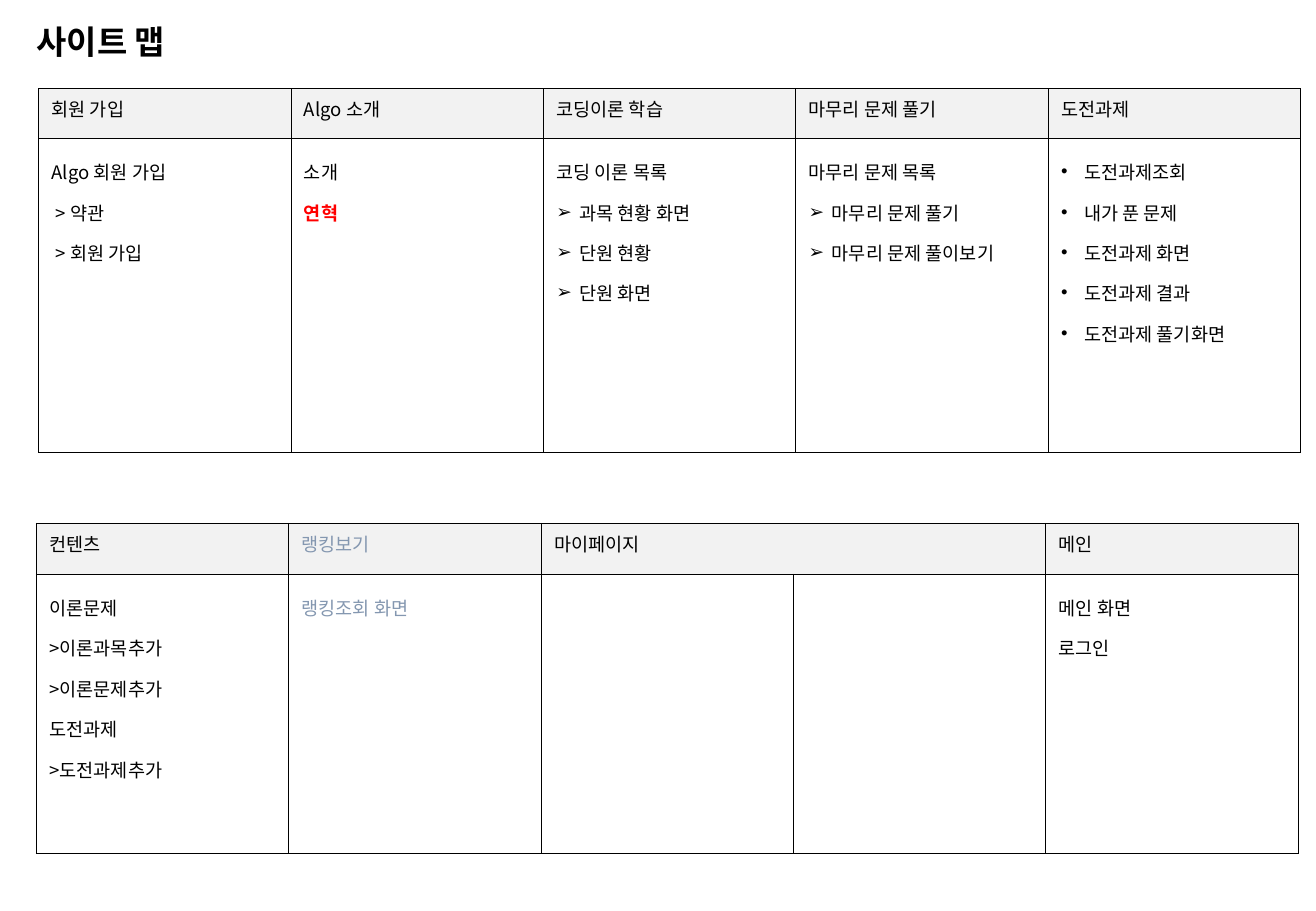
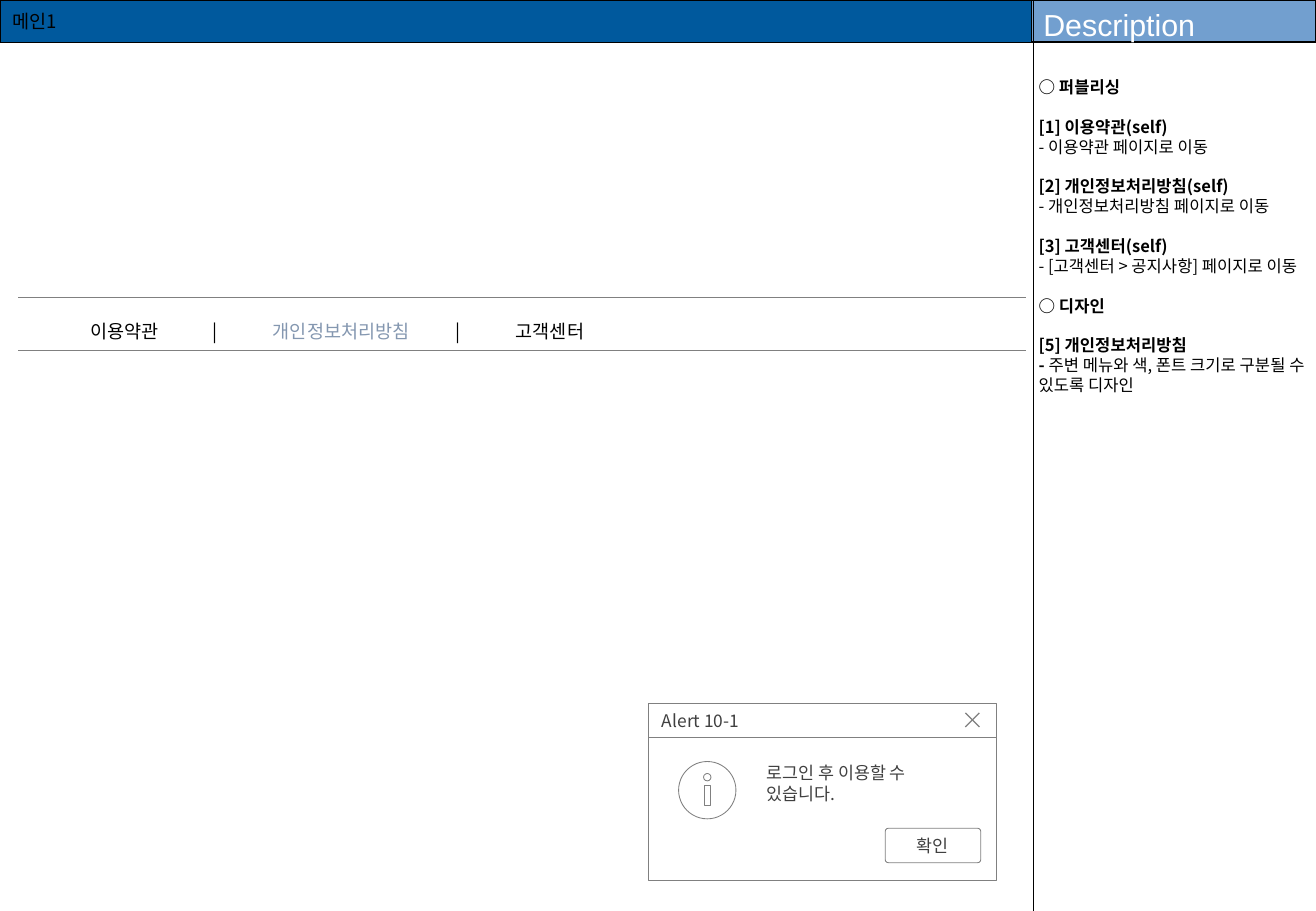
import pptx
import pptx.util
import pptx.dml.color
import pptx.enum.shapes
import pptx.enum.text
import pptx.oxml
import pptx.oxml.ns
from lxml import etree

Pt = pptx.util.Pt
SHAPE = pptx.enum.shapes.MSO_SHAPE
ALIGN = pptx.enum.text.PP_ALIGN
ANCHOR = pptx.enum.text.MSO_ANCHOR

KOREAN, LATIN = "Noto Sans CJK KR", "Arial"
BLACK, WHITE, GRAY, DARK = "000000", "FFFFFF", "808080", "404040"
MUTED, RED, HEADER = "8497B0", "FF0000", "F2F2F2"
BAR, SIDE_BAR = "00599D", "729FCF"
WIDTH, HEIGHT = 780, 540

# Each cell is a list of paragraphs: text, or (text, format)
ARROW, DOT = {"bullet": "➢"}, {"bullet": "•"}
INSET = {"indent": 2.4}
SITE_MAPS = [
    {"place": (23, 52.6), "rows": (29.5, 186), "merged": None,
     "heads": ["회원 가입", "Algo 소개", "코딩이론 학습", "마무리 문제 풀기", "도전과제"],
     "bodies": [
         ["Algo 회원 가입", ("> 약관", INSET), ("> 회원 가입", INSET)],
         ["소개", ("연혁", {"color": RED, "bold": True})],
         ["코딩 이론 목록", ("과목 현황 화면", ARROW), ("단원 현황", ARROW),
          ("단원 화면", ARROW)],
         ["마무리 문제 목록", ("마무리 문제 풀기", ARROW),
          ("마무리 문제 풀이보기", ARROW)],
         [("도전과제조회", DOT), ("내가 푼 문제", DOT), ("도전과제 화면", DOT),
          ("도전과제 결과", DOT), ("도전과제 풀기화면", DOT)]]},
    {"place": (21.6, 310.3), "rows": (30.2, 165.6), "merged": (2, 3),
     "heads": ["컨텐츠", ("랭킹보기", {"color": MUTED}), "마이페이지", None, "메인"],
     "bodies": [
         ["이론문제", ">이론과목추가", ">이론문제추가", "도전과제", ">도전과제추가"],
         [("랭킹조회 화면", {"color": MUTED})],
         [], [],
         ["메인 화면", "로그인"]]},
]
MENU = [("\t이용약관\t|\t", {}), ("개인정보처리방침", {"color": MUTED}),
        ("\t|\t고객센터", {})]
MENU_TABS = [(193.5, "l"), (244, "ctr"), (253.4, "l"), (341.7, "ctr"), (351.8, "l")]
GAP = 11.8
STRONG, NEW = {"bold": True}, {"bold": True, "before": GAP}
DESCRIPTION = [
    ("○ 퍼블리싱", STRONG),
    ("[1] 이용약관(self)", NEW), "- 이용약관 페이지로 이동",
    ("[2] 개인정보처리방침(self)", NEW), "- 개인정보처리방침 페이지로 이동",
    ("[3] 고객센터(self)", NEW), "- [고객센터 > 공지사항] 페이지로 이동",
    ("○ 디자인", NEW),
    ("[5] 개인정보처리방침", NEW),
    ([("- ", STRONG), ("주변 메뉴와 색, 폰트 크기로 구분될 수 있도록 디자인", {})], {}),
]


def rgb(color):
    return pptx.dml.color.RGBColor.from_string(color)


def add_child(parent, tag, **attributes):
    return etree.SubElement(parent, pptx.oxml.ns.qn(tag), **attributes)


def format_span(span, size=11, font=KOREAN, color=BLACK, bold=False):
    span.font.size, span.font.bold, span.font.name = Pt(size), bold, font
    span.font.color.rgb = rgb(color)
    add_child(span.font._element, "a:ea", typeface=KOREAN)


def write_para(para, content, align=ALIGN.LEFT, line=1.0, before=0, bullet=None,
               indent=0, tabs=(), **look):
    """Fill a paragraph with text, or with a list of (text, format) spans."""
    hanging = 13.7 if bullet else 0
    props = para._p.get_or_add_pPr()
    props.set("marL", str(Pt(indent + hanging)))
    props.set("indent", str(-Pt(hanging)))
    if bullet:
        add_child(props, "a:buFont", typeface=LATIN)
        add_child(props, "a:buChar", char=bullet)
    else:
        add_child(props, "a:buNone")
    if tabs:
        stops = add_child(props, "a:tabLst")
        for position, kind in tabs:
            add_child(stops, "a:tab", pos=str(Pt(position)), algn=kind)
    para.alignment, para.space_before, para.line_spacing = align, Pt(before), line
    for text, own in [(content, {})] if isinstance(content, str) else content:
        span = para.add_run()
        span.text = text
        format_span(span, **{**look, **own})


def write_text(frame, paragraphs, **shared):
    for index, item in enumerate(paragraphs):
        content, own = (item, {}) if isinstance(item, str) else item
        para = frame.add_paragraph() if index else frame.paragraphs[0]
        write_para(para, content, **{**shared, **own})


def set_box(box, paragraphs, place=None, anchor=ANCHOR.MIDDLE,
            insets=(7.2, 3.6, 7.2, 3.6), wrap=True, **look):
    """Place a box if asked, set up its text frame and write its text."""
    if place:
        box.left, box.top, box.width, box.height = map(Pt, place)
    frame = box.text_frame
    frame.auto_size = pptx.enum.text.MSO_AUTO_SIZE.NONE
    frame.word_wrap, frame.vertical_anchor = wrap, anchor
    (frame.margin_left, frame.margin_top,
     frame.margin_right, frame.margin_bottom) = map(Pt, insets)
    write_text(frame, paragraphs, **look)


def paint(shape, fill=None, line=BLACK, weight=0.75):
    if fill:
        shape.fill.solid()
        shape.fill.fore_color.rgb = rgb(fill)
    else:
        shape.fill.background()
    shape.line.color.rgb, shape.line.width = rgb(line), Pt(weight)


def add_shape(page, kind, place, **style):
    shape = page.shapes.add_shape(kind, *map(Pt, place))
    shape.shadow.inherit = False
    paint(shape, **style)
    return shape


def set_cell(cell, paragraphs, fill, borders, **look):
    """borders holds (color, weight) for left, right, top and bottom."""
    cell.margin_left = cell.margin_right = Pt(7.6)
    cell.margin_top = cell.margin_bottom = Pt(3.6)
    props = cell._tc.get_or_add_tcPr()
    for side, (color, weight) in zip("LRTB", borders):
        edge = add_child(props, f"a:ln{side}", w=str(Pt(weight)))
        add_child(add_child(edge, "a:solidFill"), "a:srgbClr", val=color)
    if fill:
        cell.fill.solid()
        cell.fill.fore_color.rgb = rgb(fill)
    else:
        cell.fill.background()
    write_text(cell.text_frame, paragraphs, **look)


def add_table(page, place, widths, heights):
    table = page.shapes.add_table(len(heights), len(widths), *map(Pt, place),
                                  Pt(sum(widths)), Pt(sum(heights))).table
    table.first_row = table.horz_banding = False
    for column, width in zip(table.columns, widths):
        column.width = Pt(width)
    for row, height in zip(table.rows, heights):
        row.height = Pt(height)
    return table


def add_site_map(page, place, rows, merged, heads, bodies):
    table = add_table(page, place, [149.6] * len(heads), rows)
    borders = [(BLACK, 0.75)] * 4
    for column, (head, body) in enumerate(zip(heads, bodies)):
        set_cell(table.cell(0, column), [head] if head else [], HEADER, borders)
        set_cell(table.cell(1, column), body, WHITE, borders, line=1.5)
    if merged:
        first, last = merged
        table.cell(0, first).merge(table.cell(0, last))


def add_alert(page):
    left, top, width, bar = 384.5, 416.9, 205.9, 20.2
    thin = {"line": GRAY, "weight": 0.5}
    text = {"size": 10.3, "color": DARK}
    add_shape(page, SHAPE.RECTANGLE, (left, top + bar, width, 85), fill=WHITE, **thin)
    message = page.shapes.add_textbox(0, 0, 0, 0)
    set_box(message, ["로그인 후 이용할 수 있습니다."], (447.8, 448.6, 126.7, 36.7),
            ANCHOR.TOP, (6.5, 2.9, 6.5, 2.9), line=Pt(12.4), **text)
    heading = add_shape(page, SHAPE.RECTANGLE, (left, top, width, bar),
                        fill=WHITE, **thin)
    set_box(heading, ["Alert 10-1"], insets=(7.9, 3.6, 19.4, 3.6), **text)

    x, y, size = 572.2, 422.6, 8.3
    builder = page.shapes.build_freeform(Pt(x + size), Pt(y))
    builder.add_line_segments([(Pt(x), Pt(y + size))], close=False)
    builder.move_to(Pt(x), Pt(y))
    builder.add_line_segments([(Pt(x + size), Pt(y + size))], close=False)
    cross = builder.convert_to_shape()
    cross.shadow.inherit = False
    paint(cross, line=GRAY)

    center = 419.2
    for kind, y, width, height in [(SHAPE.OVAL, 451.4, 34, 34),
                                   (SHAPE.OVAL, 458.5, 4.4, 4.4),
                                   (SHAPE.RECTANGLE, 465.6, 3.8, 11.8)]:
        add_shape(page, kind, (center - width / 2, y, width, height), **thin)

    button = add_shape(page, SHAPE.ROUNDED_RECTANGLE, (524.7, 491, 56.6, 20.4),
                       fill=WHITE, **thin)
    button.adjustments[0] = 0.09
    set_box(button, ["확인"], align=ALIGN.CENTER, **text)


def build_site_map(page):
    set_box(page.shapes.title, ["사이트 맵"], (21.6, 0, 510.5, 49), insets=(0, 0, 0, 0),
            size=19.5, font=LATIN, bold=True)
    for site_map in SITE_MAPS:
        add_site_map(page, **site_map)


def build_main_screen(page):
    split, bar = 611.3, 25
    title = page.shapes.title
    set_box(title, ["메인1"], (0, 0, split, bar), wrap=False)
    paint(title, fill=BAR)
    set_box(page.placeholders[1], DESCRIPTION, (612.7, 45.5, 167, 490), ANCHOR.TOP,
            (2.9, 0, 2.9, 0), size=9.8, line=Pt(GAP))
    side_bar = add_shape(page, SHAPE.RECTANGLE, (split, 0, WIDTH - split, bar),
                         fill=SIDE_BAR)
    set_box(side_bar, ["Description"], anchor=ANCHOR.TOP, size=18, font=LATIN,
            color=WHITE)
    divider = page.shapes.add_connector(pptx.enum.shapes.MSO_CONNECTOR.STRAIGHT,
                                        Pt(612.7), 0, Pt(612.7), Pt(HEIGHT))
    divider.line.color.rgb, divider.line.width = rgb(BLACK), Pt(0.75)
    add_child(divider._element.spPr, "a:effectLst")

    menu = add_table(page, (10.1, 176.4), [598.3], [27.4])
    set_cell(menu.cell(0, 0), [(MENU, {"tabs": MENU_TABS})], None,
             [(WHITE, 0.96)] * 2 + [(GRAY, 0.5)] * 2, line=1.5)
    add_alert(page)


def main():
    deck = pptx.Presentation()
    deck.slide_width, deck.slide_height = Pt(WIDTH), Pt(HEIGHT)
    title_only, title_and_body = deck.slide_layouts[5], deck.slide_layouts[1]
    build_site_map(deck.slides.add_slide(title_only))
    build_main_screen(deck.slides.add_slide(title_and_body))
    deck.save("out.pptx")


if __name__ == "__main__":
    main()
